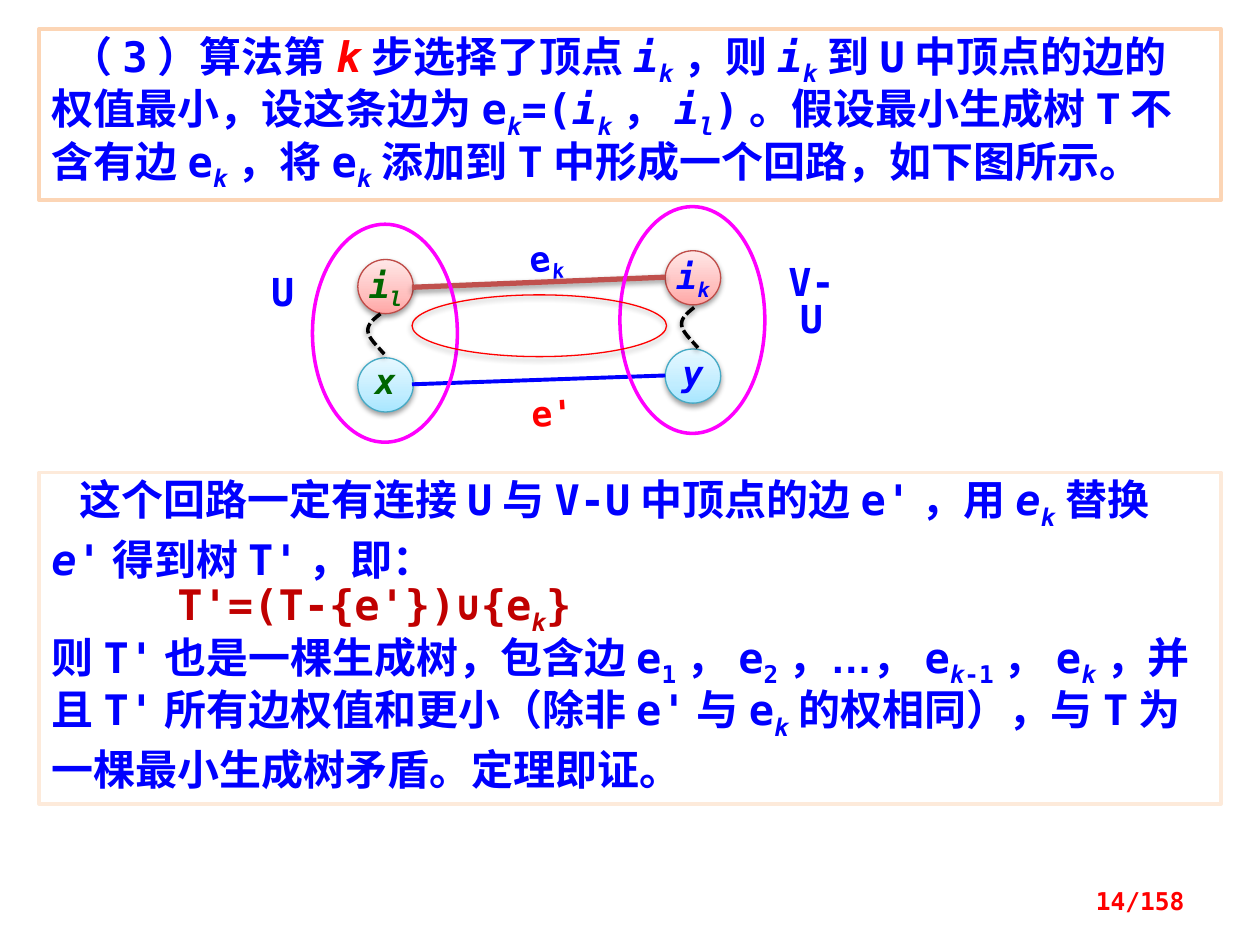
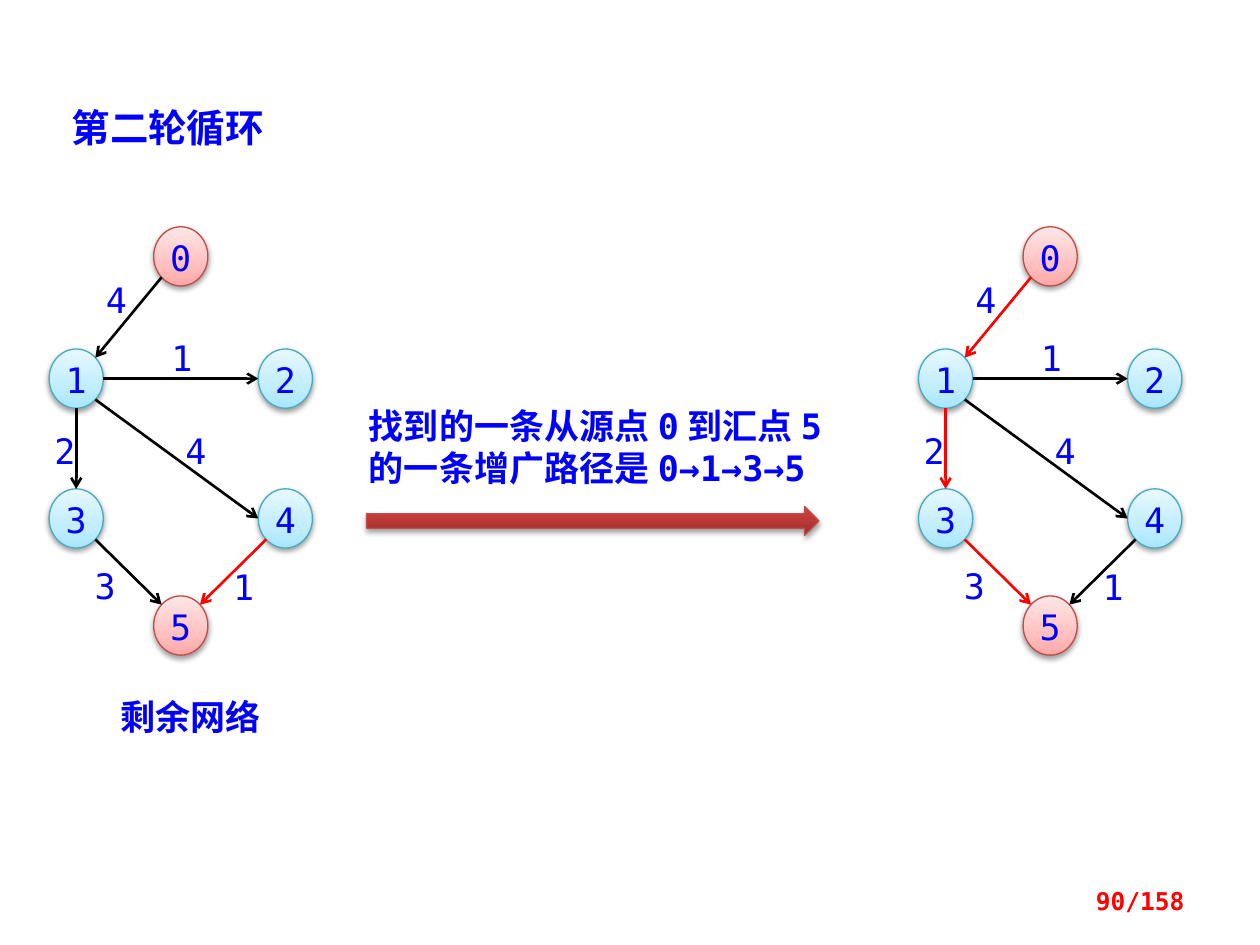
import itertools
import math
import pptx
import pptx.dml.color
import pptx.enum.dml
import pptx.enum.shapes
import pptx.enum.text
import pptx.oxml
import pptx.oxml.ns
import pptx.util

Inches = pptx.util.Inches
Pt = pptx.util.Pt
RGBColor = pptx.dml.color.RGBColor
Shape = pptx.enum.shapes.MSO_SHAPE
Align = pptx.enum.text.PP_ALIGN
Anchor = pptx.enum.text.MSO_ANCHOR
qn = pptx.oxml.ns.qn

BLUE = RGBColor(0x00, 0x00, 0xFF)
RED = RGBColor(0xFF, 0x00, 0x00)
DARK_RED = RGBColor(0xC0, 0x00, 0x00)
GREEN = RGBColor(0x00, 0x66, 0x00)
BLACK = RGBColor(0x00, 0x00, 0x00)
WHITE = RGBColor(0xFF, 0xFF, 0xFF)
MAGENTA = RGBColor(0xFF, 0x00, 0xFF)
PEACH = RGBColor(0xFC, 0xD5, 0xB5)
PALE_PEACH = RGBColor(0xFD, 0xEA, 0xDA)
EDGE_RED = RGBColor(0xC0, 0x50, 0x4D)
PINK_LINE = RGBColor(0xBF, 0x4C, 0x48)
SKY_LINE = RGBColor(0x46, 0xAA, 0xC5)

PINK = [(0, "FFA6A5"), (35, "FFC0BF"), (100, "FFE7E7")]
SKY = [(0, "A7E6FF"), (35, "C1EDFF"), (100, "E7F8FF")]
BRICK = [(0, "9C2F2D"), (80, "CB3E3A"), (100, "CE3B37")]

MONO = "DejaVu Sans Mono"
CJK = "Noto Sans CJK SC"
DRAWING = 'xmlns:a="http://schemas.openxmlformats.org/drawingml/2006/main"'
SHADOW = (f'<a:outerShdw {DRAWING} blurRad="40000" dist="20000" dir="5400000" rotWithShape="0">'
          '<a:srgbClr val="000000"><a:alpha val="38000"/></a:srgbClr></a:outerShdw>')


def add_item(page, at, kind=None, fill=None, line=None, width=0.75, shadow=False, text="",
             size=20, color=BLUE, bold=True, font=MONO, align=Align.LEFT, anchor=Anchor.TOP,
             insets=(0.1, 0.05, 0.1, 0.05), spacing=None, indents=(0,), wrap=False):
    area = [Inches(value) for value in at]
    if kind is None:
        box = page.shapes.add_textbox(*area)
    else:
        box = page.shapes.add_shape(kind, *area)
        box.shadow.inherit = False
        properties = box._element.spPr
        if shadow:
            properties.find(qn("a:effectLst")).append(pptx.oxml.parse_xml(SHADOW))
        if isinstance(fill, list):
            stops = "".join(f'<a:gs pos="{spot * 1000}"><a:srgbClr val="{tint}"/></a:gs>'
                            for spot, tint in fill)
            properties.insert(2, pptx.oxml.parse_xml(
                f'<a:gradFill {DRAWING} rotWithShape="1"><a:gsLst>{stops}</a:gsLst>'
                '<a:lin ang="16200000" scaled="0"/></a:gradFill>'))
        elif fill is None:
            box.fill.background()
        else:
            box.fill.solid()
            box.fill.fore_color.rgb = fill
        if line is None:
            box.line.fill.background()
        else:
            box.line.color.rgb = line
            box.line.width = Pt(width)
    if not text:
        return box
    frame = box.text_frame
    frame.word_wrap = wrap
    frame.vertical_anchor = anchor
    frame.margin_left, frame.margin_top, frame.margin_right, frame.margin_bottom = map(Inches, insets)
    for number, (content, indent) in enumerate(zip(text.split("\n"), indents)):
        para = frame.paragraphs[0] if number == 0 else frame.add_paragraph()
        para.alignment = align
        if spacing:
            para.line_spacing = spacing
        if indent:
            para._p.get_or_add_pPr().set("indent", str(Inches(indent)))
        active = set()
        pieces = []
        for letter in content:
            if letter in "*_#@~":
                active ^= {letter}
            else:
                pieces.append((frozenset(active), letter))
        for marks, letters in itertools.groupby(pieces, key=lambda piece: piece[0]):
            span = para.add_run()
            span.text = "".join(letter for _, letter in letters)
            span.font.size = Pt(size)
            span.font.bold = bold
            span.font.italic = "*" in marks
            span.font.name = "Arial" if "~" in marks else font
            span.font.color.rgb = RED if "#" in marks else DARK_RED if "@" in marks else color
            style = span._r.get_or_add_rPr()
            style.append(pptx.oxml.parse_xml(
                f'<a:ea {DRAWING} typeface="{"Arial" if "~" in marks else CJK}"/>'))
            if "_" in marks:
                style.set("baseline", "-25000")
    return box


def add_edge(page, start, end, color, width, arrow=False, shadow=False):
    edge = page.shapes.add_connector(
        pptx.enum.shapes.MSO_CONNECTOR.STRAIGHT, *[Inches(value) for value in (*start, *end)])
    edge.line.color.rgb = color
    edge.line.width = Pt(width)
    if arrow:
        edge.line._get_or_add_ln().append(pptx.oxml.parse_xml(f'<a:tailEnd {DRAWING} type="arrow"/>'))
    effects = pptx.oxml.parse_xml(f"<a:effectLst {DRAWING}/>")
    if shadow:
        effects.append(pptx.oxml.parse_xml(SHADOW))
    edge._element.spPr.append(effects)


deck = pptx.Presentation()
deck.slide_width = Inches(10)
deck.slide_height = Inches(7.5)
proof, flow = [deck.slides.add_slide(deck.slide_layouts[6]) for _ in range(2)]

add_item(proof, (0.31, 0.23, 9.38, 1.36), Shape.RECTANGLE, WHITE, PEACH, 2, size=24,
         spacing=Pt(30), indents=(0.15,), wrap=True,
         text="（3）算法第#*k*#步选择了顶点*i_k_*，则*i_k_*到U中顶点的边的权值最小，设这条边为"
              "e_*k*_=(*i_k_*，*i_l_*)。假设最小生成树T不含有边e_*k*_，将e_*k*_添加到T中形成一个回路，如下图所示。")

vertices = [
    (2.84, 2.06, "*i_l_*", GREEN, PINK, PINK_LINE),
    (5.28, 1.99, "*i_k_*", BLUE, PINK, PINK_LINE),
    (2.84, 2.84, "*x*", GREEN, SKY, SKY_LINE),
    (5.28, 2.77, "*y*", BLUE, SKY, SKY_LINE),
]
for left, top, name, color, fill, line in vertices:
    add_item(proof, (left, top, 0.44, 0.43), Shape.OVAL, fill, line, shadow=True, text=name,
             color=color, align=Align.CENTER, anchor=Anchor.MIDDLE, insets=(0, 0.05, 0, 0.05), spacing=0.8)
add_edge(proof, (3.27, 2.28), (5.28, 2.2), EDGE_RED, 3, shadow=True)
add_edge(proof, (3.27, 3.05), (5.28, 2.98), BLUE, 2.25)
for area in [(2.48, 1.78, 1.15, 1.73), (4.92, 1.64, 1.15, 1.8)]:
    add_item(proof, area, Shape.OVAL, line=MAGENTA, width=2)

set_labels = [
    ((4.09, 1.86, 0.48, 0.37), "e_*k*_", 20, BLUE, 352.3),
    ((4.08, 3.12, 0.61, 0.38), "e'", 20, RED, 356.2),
    ((2.03, 2.15, 0.43, 0.42), "U", 22, BLUE, 0),
    ((6.08, 2.07, 0.72, 0.42), "V-U", 22, BLUE, 0),
]
for area, name, size, color, turn in set_labels:
    label = add_item(proof, area, text=name, size=size, color=color, align=Align.CENTER,
                     spacing=0.8, wrap=name == "V-U")
    label.rotation = turn

curves = [
    [(3.02, 2.49), (2.97, 2.53), (2.92, 2.57), (2.92, 2.62)],
    [(2.92, 2.62), (2.92, 2.68), (2.99, 2.74), (3.05, 2.81)],
]
points = []
for curve in curves:
    for step in range(13):
        t = step / 12
        weights = [(1 - t) ** 3, 3 * t * (1 - t) ** 2, 3 * t ** 2 * (1 - t), t ** 3]
        points.append([sum(w * point[axis] for w, point in zip(weights, curve)) for axis in (0, 1)])
for shift_x, shift_y in [(0, 0), (2.49, -0.05)]:
    trail = [(Inches(x + shift_x), Inches(y + shift_y)) for x, y in points]
    builder = proof.shapes.build_freeform(*trail[0])
    builder.add_line_segments(trail[1:], close=False)
    route = builder.convert_to_shape()
    route.fill.background()
    route.line.color.rgb = BLACK
    route.line.width = Pt(2)
    route.line.dash_style = pptx.enum.dml.MSO_LINE.SQUARE_DOT
    route.shadow.inherit = False
    route._element.spPr.find(qn("a:effectLst")).append(pptx.oxml.parse_xml(SHADOW))
add_item(proof, (3.27, 2.34, 2.02, 0.49), Shape.OVAL, line=RED, shadow=True)

add_item(proof, (0.31, 3.75, 9.38, 2.63), Shape.RECTANGLE, WHITE, PALE_PEACH, 2, size=24,
         spacing=Pt(30), indents=(0.22, 1, 0), wrap=True,
         text="这个回路一定有连接U与V-U中顶点的边e'，用*e_k_*替换*e*'得到树T'，即：\n"
              "@T'=(T-{e'})∪{e_*k*_}@\n"
              "则T'也是一棵生成树，包含边e_1_，e_2_，~…~，e_*k*-1_，e_*k*_，"
              "并且T'所有边权值和更小（除非e'与e_*k*_的权相同），与T为一棵最小生成树矛盾。定理即证。")

add_item(flow, (0.47, 0.78, 1.88, 0.47), text="第二轮循环", size=22, font=CJK)
add_item(flow, (0.86, 5.47, 1.48, 0.44), text="剩余网络", font=CJK)
add_item(flow, (2.83, 3.16, 4.06, 0.77), text="找到的一条从源点0到汇点5的一条增广路径是0→1→3→5", wrap=True)
add_item(flow, (2.91, 4.02, 3.59, 0.23), Shape.RIGHT_ARROW, BRICK, PINK_LINE, shadow=True)

NODE_WIDTH, NODE_HEIGHT = 0.43, 0.47
nodes = [(1.22, 1.8), (0.39, 2.77), (2.05, 2.77), (0.39, 3.88), (2.05, 3.88), (1.22, 4.73)]
edges = [
    (0, 135, 1, 315, "4", 0.85, 2.21),
    (1, 0, 2, 180, "1", 1.37, 2.67),
    (1, 45, 4, 180, "4", 1.48, 3.41),
    (1, 90, 3, 270, "2", 0.44, 3.41),
    (3, 45, 5, 225, "3", 0.76, 4.48),
    (4, 135, 5, 315, "1", 1.86, 4.49),
]
networks = [(0, {(4, 5)}), (6.9, {(0, 1), (1, 3), (3, 5)})]
for shift, red_edges in networks:
    for *_, weight, left, top in edges:
        add_item(flow, (left + shift, top, 0.15, 0.32), Shape.RECTANGLE, WHITE, text=weight,
                 bold=False, align=Align.CENTER, insets=(0, 0, 0, 0))
    for number, (left, top) in enumerate(nodes):
        terminal = number in (0, 5)
        add_item(flow, (left + shift, top, NODE_WIDTH, NODE_HEIGHT), Shape.OVAL,
                 PINK if terminal else SKY, PINK_LINE if terminal else SKY_LINE, shadow=True,
                 text=str(number), bold=False, align=Align.CENTER, insets=(0, 0.01, 0, 0))
    for source, leave, target, arrive, *_ in edges:
        ends = []
        for number, degrees in [(source, leave), (target, arrive)]:
            left, top = nodes[number]
            angle = math.radians(degrees)
            ends.append((left + shift + NODE_WIDTH / 2 * (1 + math.cos(angle)),
                         top + NODE_HEIGHT / 2 * (1 + math.sin(angle))))
        color = RED if (source, target) in red_edges else BLACK
        add_edge(flow, *ends, color, 1.5, arrow=True)

for page, number in [(proof, "14/158"), (flow, "90/158")]:
    add_item(page, (7.17, 6.95, 2.33, 0.4), text=number, size=14, color=RED,
             align=Align.RIGHT, anchor=Anchor.MIDDLE, wrap=True)

deck.save("out.pptx")
